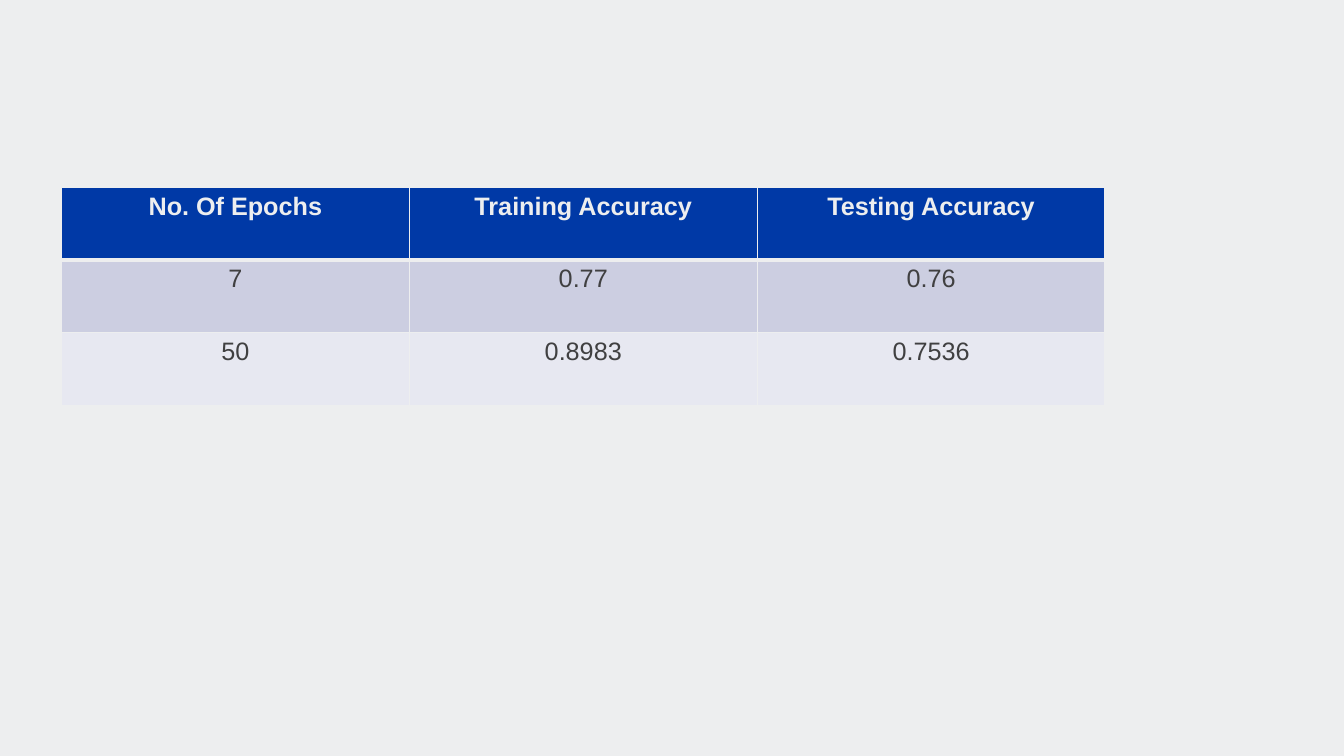
from lxml.etree import SubElement
from pptx import Presentation
from pptx.dml.color import RGBColor
from pptx.enum.text import PP_ALIGN
from pptx.oxml.ns import qn
from pptx.util import Inches, Pt

COLORS = {
    "background": "EDEEEF",
    "header": "0039A6",
    "odd_row": "CCCEE1",
    "even_row": "E7E8F1",
    "body_text": "404041",
}
RESULTS = [
    ("No. Of Epochs", "Training Accuracy", "Testing Accuracy"),
    ("7", "0.77", "0.76"),
    ("50", "0.8983", "0.7536"),
]
ROW_FILLS = ["header", "odd_row", "even_row"]
COLUMN_WIDTH, ROW_HEIGHT = Inches(3.45), Inches(0.72)


def rgb(name):
    return RGBColor.from_string(COLORS[name])


def add_border(cell, side, points):
    line = SubElement(cell._tc.get_or_add_tcPr(), qn(f"a:ln{side}"), w=str(Pt(points)))
    fill = SubElement(line, qn("a:solidFill"))
    SubElement(fill, qn("a:srgbClr"), val=COLORS["background"])


presentation = Presentation()
presentation.slide_width = Inches(13.33)
presentation.slide_height = Inches(7.5)
slide = presentation.slides.add_slide(presentation.slide_layouts[6])
slide.background.fill.solid()
slide.background.fill.fore_color.rgb = rgb("background")

accuracy = slide.shapes.add_table(
    len(RESULTS), len(RESULTS[0]), Inches(0.61), Inches(1.86),
    COLUMN_WIDTH * len(RESULTS[0]), ROW_HEIGHT * len(RESULTS),
).table
for column in accuracy.columns:
    column.width = COLUMN_WIDTH

for row_index, values in enumerate(RESULTS):
    is_header = row_index == 0
    accuracy.rows[row_index].height = ROW_HEIGHT
    for column_index, value in enumerate(values):
        cell = accuracy.cell(row_index, column_index)
        # The line under the header is heavier than the rest of the grid.
        add_border(cell, "L", 1)
        add_border(cell, "R", 1)
        add_border(cell, "T", 3 if row_index == 1 else 1)
        add_border(cell, "B", 3 if is_header else 1)
        cell.fill.solid()
        cell.fill.fore_color.rgb = rgb(ROW_FILLS[row_index])

        paragraph = cell.text_frame.paragraphs[0]
        paragraph.alignment = PP_ALIGN.CENTER
        run = paragraph.add_run()
        run.text = value
        run.font.name = "Arial"
        run.font.size = Pt(18)
        run.font.bold = is_header
        run.font.color.rgb = rgb("background" if is_header else "body_text")

presentation.save("out.pptx")
